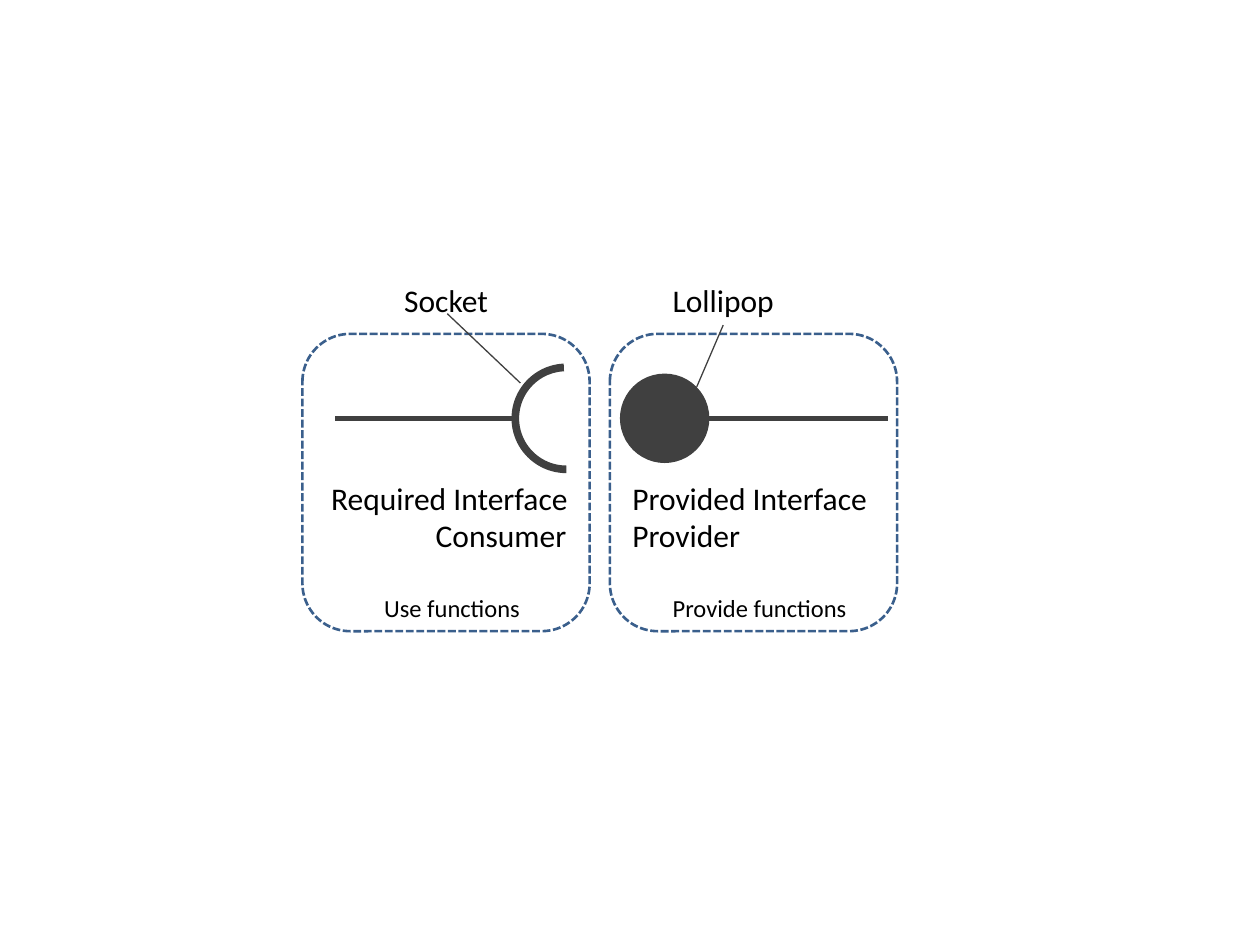
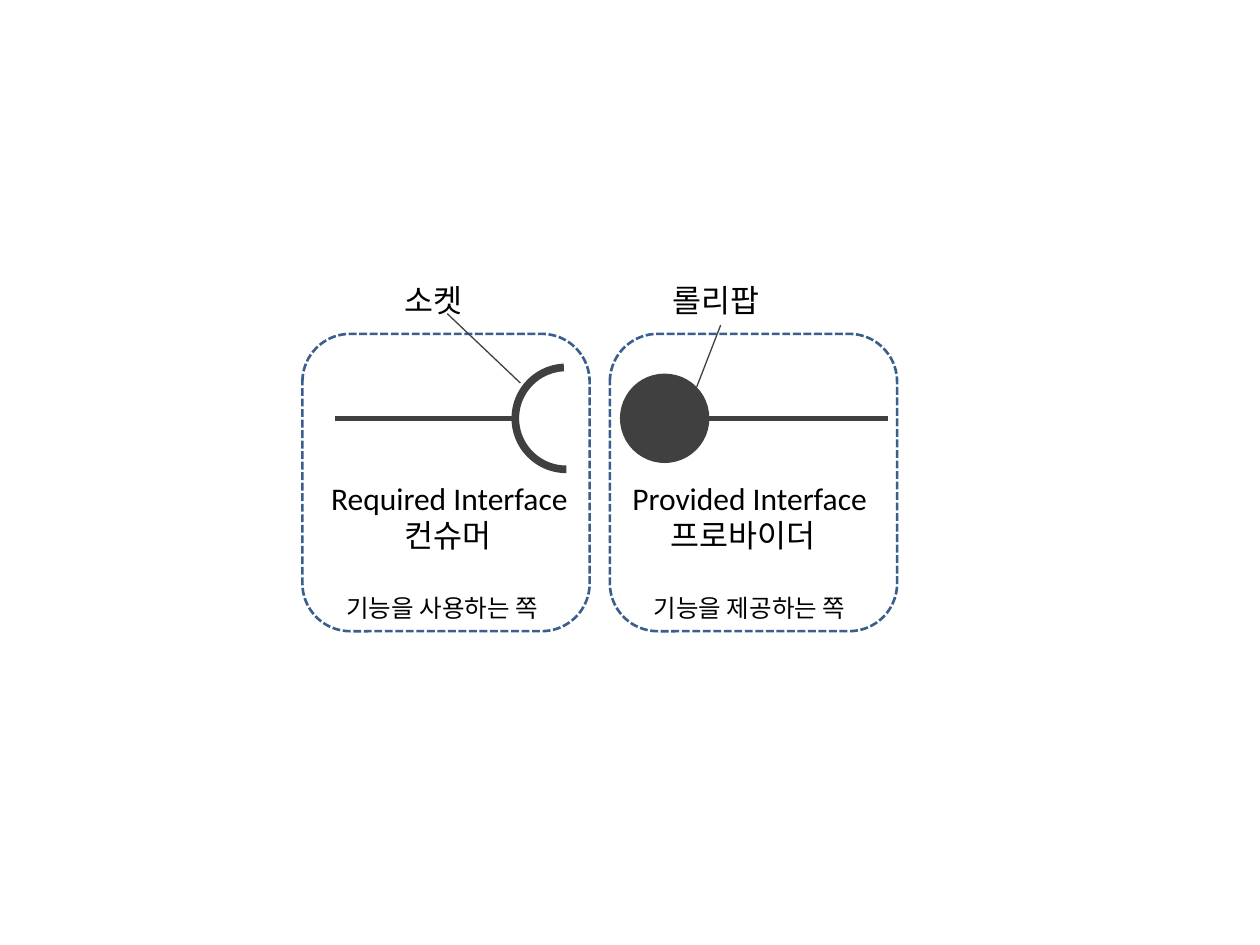
"""Builds the socket and lollipop interface diagram in English and Korean."""
import pptx
import pptx.util
import pptx.dml.color
import pptx.enum.dml
import pptx.enum.shapes
import pptx.enum.text
import lxml.etree

Inches = pptx.util.Inches
Pt = pptx.util.Pt
SHAPE = pptx.enum.shapes.MSO_SHAPE

COLORS = {"ink": "404040", "frame": "3A5F8C", "text": "000000"}
FONT = "Calibri"
LABEL_ROW, INTERFACE_ROW, ROLE_ROW, NOTE_ROW = 2.18, 3.75, 4.05, 4.66
SIZES = {LABEL_ROW: 18, INTERFACE_ROW: 18, ROLE_ROW: 18, NOTE_ROW: 14}
INTERFACES = [
    ("Provided Interface", 4.92, INTERFACE_ROW, 2.09),
    ("Required Interface", 2.53, INTERFACE_ROW, 2.1),
]
SLIDES = [
    {"lollipop_x": 5.74, "labels": [
        ("Lollipop", 5.24, LABEL_ROW, 1.02),
        ("Socket", 3.11, LABEL_ROW, 0.87),
        ("Provider", 4.92, ROLE_ROW, 1.07),
        ("Consumer", 3.36, ROLE_ROW, 1.25),
        ("Use functions", 2.95, NOTE_ROW, 1.29),
        ("Provide functions", 5.24, NOTE_ROW, 1.6),
    ]},
    {"lollipop_x": 5.72, "labels": [
        ("롤리팝", 5.24, LABEL_ROW, 0.96),
        ("소켓", 3.11, LABEL_ROW, 0.71),
        ("프로바이더", 5.22, ROLE_ROW, 1.46),
        ("컨슈머", 3.11, ROLE_ROW, 0.96),
        ("기능을 사용하는 쪽", 2.65, NOTE_ROW, 1.86),
        ("기능을 제공하는 쪽", 5.09, NOTE_ROW, 1.86),
    ]},
]
FRAME_LEFTS = (2.4, 4.84)
FRAME_TOP, FRAME_W, FRAME_H = 2.65, 2.28, 2.36
AXIS_Y, STEM = 3.32, 1.42
BALL_X, BALL = 4.92, 0.71
SOCKET_X, SOCKET = 4.06, 0.87
STEM_LEFTS = (2.66, BALL_X + BALL)


def rgb(name):
    return pptx.dml.color.RGBColor.from_string(COLORS[name])


def add_text(s, text, x=0, y=0, w=1, h=0.4, size=18, color="text"):
    tf = s.shapes.add_textbox(Inches(x), Inches(y), Inches(w), Inches(h)).text_frame
    tf.word_wrap = False
    tf.auto_size = pptx.enum.text.MSO_AUTO_SIZE.SHAPE_TO_FIT_TEXT
    r = tf.paragraphs[0].add_run()
    r.text = text
    r.font.name, r.font.size = FONT, Pt(size)
    r.font.color.rgb = rgb(color)


def add_solid(s, kind, x, size):
    sp = s.shapes.add_shape(kind, Inches(x), Inches(AXIS_Y - size / 2),
                            Inches(size), Inches(size))
    sp.shadow.inherit = False
    sp.fill.solid()
    sp.fill.fore_color.rgb = rgb("ink")
    sp.line.fill.background()
    return sp


def add_frame(s, x):
    sp = s.shapes.add_shape(SHAPE.ROUNDED_RECTANGLE, Inches(x), Inches(FRAME_TOP),
                            Inches(FRAME_W), Inches(FRAME_H))
    sp.shadow.inherit = False
    sp.fill.background()
    sp.line.color.rgb = rgb("frame")
    sp.line.width = Pt(1.5)
    sp.line.dash_style = pptx.enum.dml.MSO_LINE.SQUARE_DOT


def add_line(s, x1, y1, x2, y2, width):
    c = s.shapes.add_connector(pptx.enum.shapes.MSO_CONNECTOR.STRAIGHT,
                               Inches(x1), Inches(y1), Inches(x2), Inches(y2))
    c.line.color.rgb = rgb("ink")
    c.line.width = Pt(width)
    lxml.etree.SubElement(c._element.spPr, pptx.oxml.ns.qn("a:effectLst"))


def build_slide(prs, lollipop_x, labels):
    s = prs.slides.add_slide(prs.slide_layouts[6])
    add_solid(s, SHAPE.OVAL, BALL_X, BALL)
    socket = add_solid(s, SHAPE.BLOCK_ARC, SOCKET_X, SOCKET)
    socket.rotation = 270
    for i, value in enumerate((108, 214.36, 0.07)):
        socket.adjustments[i] = value
    for x in STEM_LEFTS:
        add_line(s, x, AXIS_Y, x + STEM, AXIS_Y, 3)
    for x in FRAME_LEFTS:
        add_frame(s, x)
    for text, x, y, w in labels + INTERFACES:
        add_text(s, text, x=x, y=y, w=w, h=0.34 if y == NOTE_ROW else 0.4, size=SIZES[y])
    add_line(s, 3.55, 2.49, 4.13, 3.04, 0.75)
    add_line(s, 5.53, 3.07, lollipop_x, 2.58, 0.75)


prs = pptx.Presentation()
prs.slide_width, prs.slide_height = Inches(10), Inches(7.5)
for content in SLIDES:
    build_slide(prs, **content)
prs.save("out.pptx")
